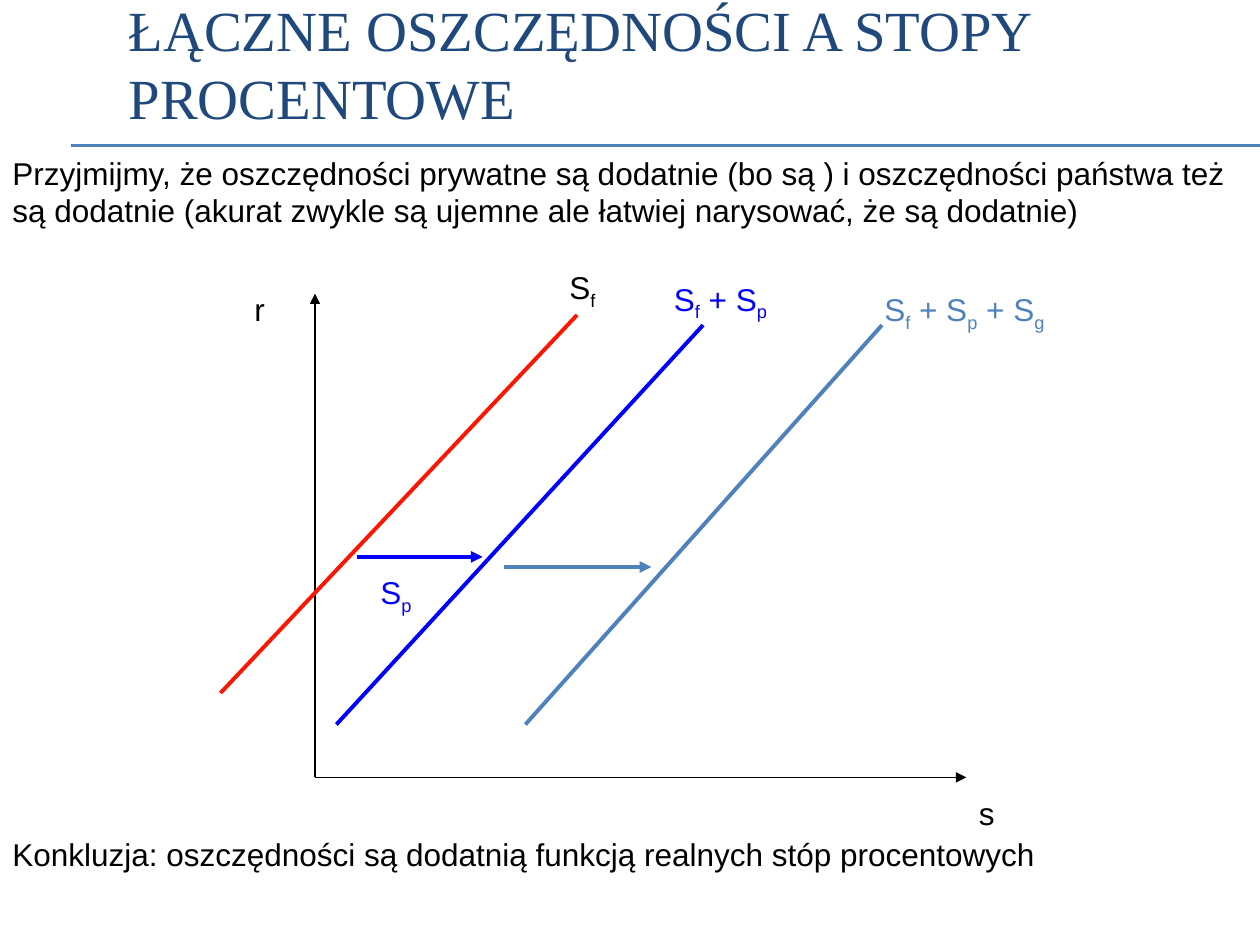
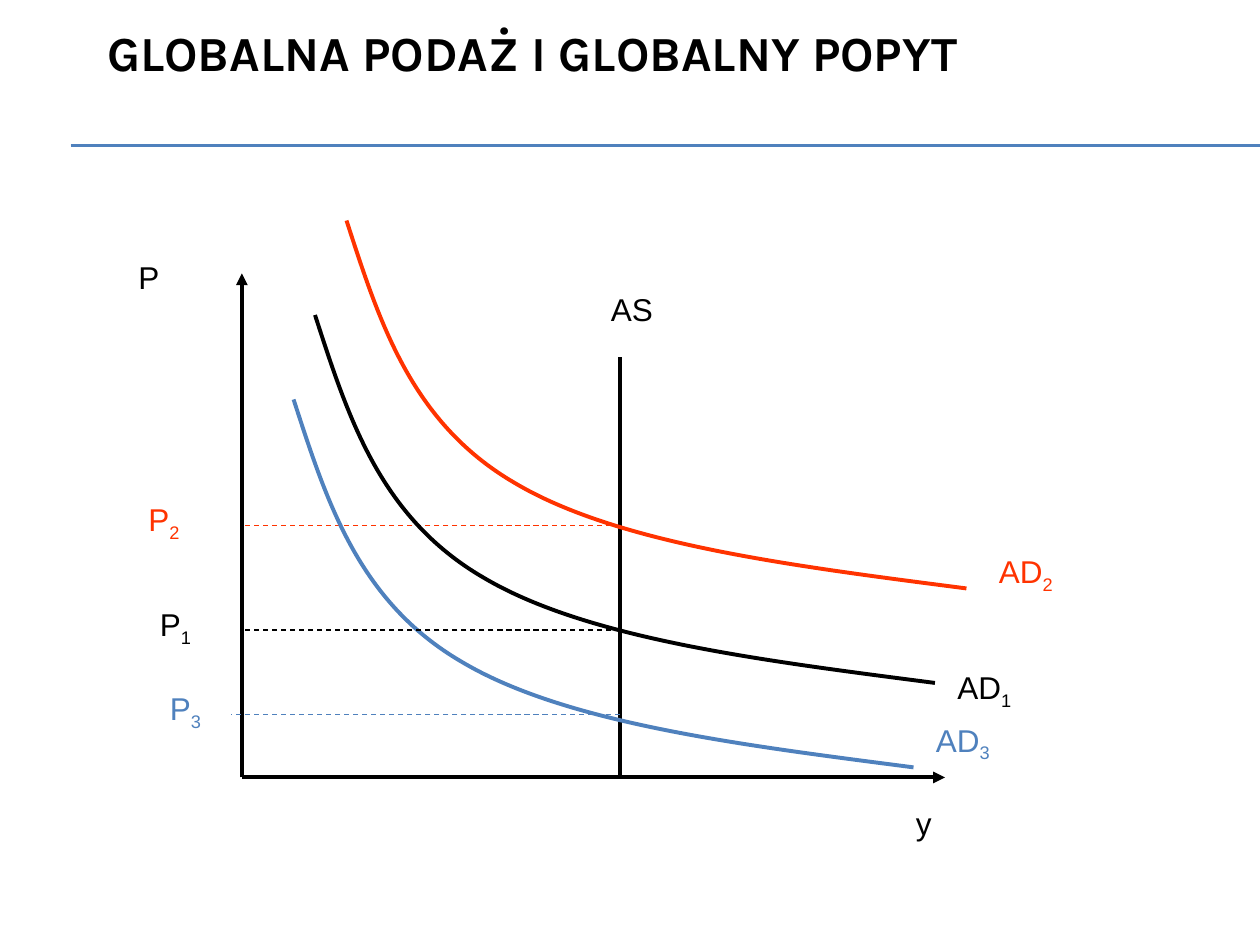
"""Two economics slides: savings against interest rates, and aggregate supply and demand."""

from dataclasses import dataclass

from lxml.etree import SubElement
from pptx import Presentation
from pptx.dml.color import RGBColor
from pptx.enum.dml import MSO_LINE
from pptx.enum.shapes import MSO_CONNECTOR
from pptx.enum.text import MSO_ANCHOR, PP_ALIGN
from pptx.oxml.ns import qn
from pptx.shapes.connector import Connector
from pptx.slide import Slide
from pptx.text.text import TextFrame
from pptx.util import Inches, Pt

COLORS = {
    "black": "000000",
    "navy": "1F497D",
    "steel": "4F81BD",
    "red": "FD1503",
    "blue": "0000FF",
    "orange": "FF3300",
}
THIN, THICK = 0.75, 2.25
TITLE_ONLY_LAYOUT = 5
DEMAND_CURVE = [
    (0, 0), (0.26, 0.8), (0.51, 1.6), (1.33, 2.08),
    (2.15, 2.57), (3.53, 2.74), (4.92, 2.92),
]


@dataclass
class Title:
    text: str
    left: float
    height: float
    font: str
    size: float
    color: str
    bold: bool = False


@dataclass
class Label:
    text: str
    left: float
    top: float
    color: str = "black"
    width: float = 1
    height: float = 0.4


@dataclass
class Line:
    start: tuple[float, float]
    end: tuple[float, float]
    color: str = "black"
    weight: float = THICK
    arrow: bool = False
    dashed: bool = False


@dataclass
class Demand:
    name: str
    color: str
    curve_start: tuple[float, float]
    label_at: tuple[float, float]
    price: str
    price_at: tuple[float, float]
    price_line_y: float
    price_line_left: float = 1.92


def rgb(color: str) -> RGBColor:
    return RGBColor.from_string(COLORS[color])


def write_text(frame: TextFrame, text: str, font: str, size: float, color: str, bold: bool = False) -> None:
    """Write one paragraph in which the character after each underscore is a subscript."""
    frame.word_wrap = True
    paragraph = frame.paragraphs[0]
    paragraph.alignment = PP_ALIGN.LEFT
    paragraph.font.name = font
    paragraph.font.size = Pt(size)
    paragraph.font.bold = bold
    paragraph.font.color.rgb = rgb(color)
    first, *others = text.split("_")
    paragraph.add_run().text = first
    for part in others:
        subscript = paragraph.add_run()
        subscript.text = part[0]
        subscript.font.size = Pt(size)
        subscript.font._element.set("baseline", "-25000")
        if part[1:]:
            paragraph.add_run().text = part[1:]


def add_title(slide: Slide, title: Title) -> None:
    shape = slide.shapes.title
    shape.left, shape.top = Inches(title.left), Inches(0)
    shape.width, shape.height = Inches(8.5), Inches(title.height)
    shape.text_frame.vertical_anchor = MSO_ANCHOR.MIDDLE
    write_text(shape.text_frame, title.text, title.font, title.size, title.color, title.bold)


def add_label(slide: Slide, label: Label) -> None:
    box = slide.shapes.add_textbox(
        Inches(label.left), Inches(label.top), Inches(label.width), Inches(label.height)
    )
    write_text(box.text_frame, label.text, "Arial", 18, label.color)


def add_line(slide: Slide, line: Line) -> Connector:
    connector = slide.shapes.add_connector(
        MSO_CONNECTOR.STRAIGHT, *map(Inches, line.start + line.end)
    )
    connector.line.color.rgb = rgb(line.color)
    connector.line.width = Pt(line.weight)
    if line.dashed:
        connector.line.dash_style = MSO_LINE.DASH
    if line.arrow:
        SubElement(connector.line._get_or_add_ln(), qn("a:tailEnd"), type="triangle")
    SubElement(connector.element.spPr, qn("a:effectLst"))
    return connector


def add_demand_curve(slide: Slide, start: tuple[float, float], color: str) -> None:
    """Draw the demand curve from a start point, as Bézier segments of three points each."""
    points = [(Inches(start[0] + x), Inches(start[1] + y)) for x, y in DEMAND_CURVE]
    builder = slide.shapes.build_freeform(*points[0])
    builder.add_line_segments(points[1:], close=False)
    shape = builder.convert_to_shape()
    shape.shadow.inherit = False
    shape.fill.background()
    shape.line.color.rgb = rgb(color)
    shape.line.width = Pt(THICK)
    steps = list(shape.element.iter(qn("a:lnTo")))
    outline = steps[0].getparent()
    for index in range(0, len(steps), 3):
        bezier = SubElement(outline, qn("a:cubicBezTo"))
        for step in steps[index:index + 3]:
            bezier.append(step[0])
            outline.remove(step)


def add_demand(slide: Slide, demand: Demand) -> None:
    y = demand.price_line_y
    add_demand_curve(slide, demand.curve_start, demand.color)
    add_label(slide, Label(demand.name, *demand.label_at, demand.color))
    add_line(slide, Line((4.92, y), (demand.price_line_left, y), demand.color, THIN, dashed=True))
    add_label(slide, Label(demand.price, *demand.price_at, demand.color))


def add_title_rules(slide: Slide) -> None:
    """Put the double rule under the title on the slide's layout."""
    for y in (1.15, 1.16):
        rule = add_line(slide, Line((0.56, y), (10, y), "steel", THIN))
        slide.slide_layout.shapes.element.append(rule.element)


def fill_slide(slide: Slide, title: Title, lines: list[Line], labels: list[Label]) -> None:
    add_title(slide, title)
    for line in lines:
        add_line(slide, line)
    for label in labels:
        add_label(slide, label)


def build_savings(slide: Slide) -> None:
    title = Title("ŁĄCZNE OSZCZĘDNOŚCI A STOPY PROCENTOWE", 0.92, 1, "Times New Roman", 32.4, "navy")
    origin = (2.5, 6.17)
    lines = [
        Line(origin, (2.5, 2.33), weight=THIN, arrow=True),
        Line(origin, (7.67, 6.17), weight=THIN, arrow=True),
        Line((1.75, 5.5), (4.58, 2.5), "red"),
        Line((2.83, 4.42), (3.83, 4.42), "blue", arrow=True),
        Line((5.58, 2.58), (2.67, 5.75), "blue"),
        Line((4, 4.5), (5.17, 4.5), "steel", arrow=True),
        Line((7, 2.58), (4.17, 5.75), "steel"),
    ]
    labels = [
        Label(
            "Przyjmijmy, że oszczędności prywatne są dodatnie (bo są ) i oszczędności państwa też "
            "są dodatnie (akurat zwykle są ujemne ale łatwiej narysować, że są dodatnie)",
            0, 1.17, width=10, height=0.7,
        ),
        Label("r", 1.92, 2.25),
        Label("s", 7.67, 6.25),
        Label("S_f", 4.42, 2.08),
        Label("S_p", 2.92, 4.5, "blue"),
        Label("S_f + S_p", 5.25, 2.17, "blue"),
        Label("S_f + S_p + S_g", 6.92, 2.25, "steel", 1.67),
        Label(
            "Konkluzja: oszczędności są dodatnią funkcją realnych stóp procentowych",
            0, 6.58, width=9.5,
        ),
    ]
    fill_slide(slide, title, lines, labels)


def build_supply_and_demand(slide: Slide) -> None:
    title = Title("GLOBALNA PODAŻ I GLOBALNY POPYT", 0.75, 0.83, "Karla", 28, "black", True)
    origin = (1.92, 6.17)
    lines = [
        Line(origin, (1.92, 2.17), arrow=True),
        Line(origin, (7.5, 6.17), arrow=True),
        Line((4.92, 6.17), (4.92, 2.83)),
    ]
    labels = [Label("AS", 4.75, 2.25), Label("P", 1, 2), Label("y", 7.17, 6.33)]
    demands = [
        Demand("AD_2", "orange", (2.75, 1.75), (7.83, 4.33), "P_2", (1.08, 3.92), 4.17),
        Demand("AD_3", "steel", (2.33, 3.17), (7.33, 5.67), "P_3", (1.25, 5.42), 5.67, 1.83),
        Demand("AD_1", "black", (2.5, 2.5), (7.5, 5.25), "P_1", (1.17, 4.75), 5),
    ]
    fill_slide(slide, title, lines, labels)
    for demand in demands:
        add_demand(slide, demand)


def main() -> None:
    presentation = Presentation()
    presentation.slide_width, presentation.slide_height = Inches(10), Inches(7.5)
    layout = presentation.slide_layouts[TITLE_ONLY_LAYOUT]
    savings = presentation.slides.add_slide(layout)
    add_title_rules(savings)
    build_savings(savings)
    build_supply_and_demand(presentation.slides.add_slide(layout))
    presentation.save("out.pptx")


if __name__ == "__main__":
    main()
